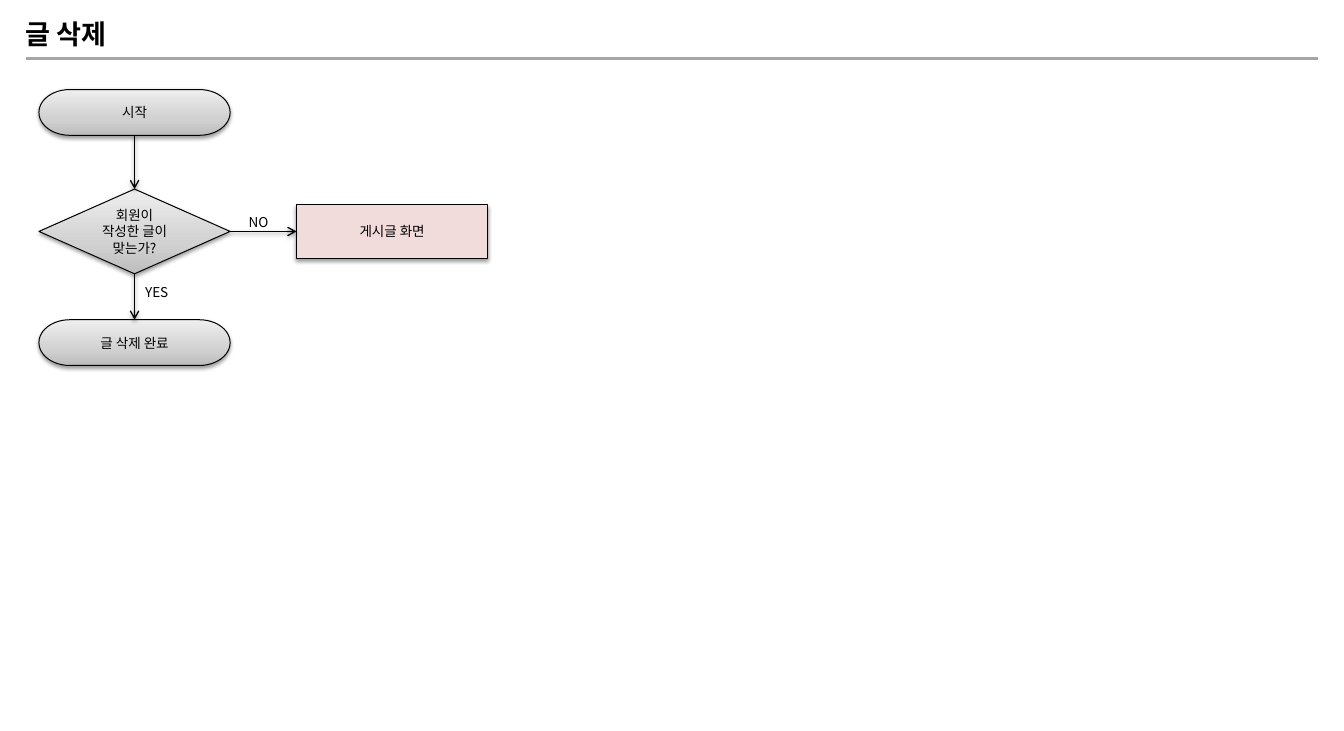
from copy import deepcopy

from lxml import etree
from pptx import Presentation
from pptx.dml.color import RGBColor
from pptx.enum.shapes import MSO_CONNECTOR, MSO_SHAPE
from pptx.enum.text import MSO_ANCHOR, MSO_AUTO_SIZE, PP_ALIGN
from pptx.oxml.ns import qn
from pptx.util import Pt

TERMINATOR = MSO_SHAPE.FLOWCHART_TERMINATOR
DECISION = MSO_SHAPE.FLOWCHART_DECISION
RECTANGLE = MSO_SHAPE.RECTANGLE
STRAIGHT = MSO_CONNECTOR.STRAIGHT
TOP, MIDDLE = MSO_ANCHOR.TOP, MSO_ANCHOR.MIDDLE
LEFT, CENTER = PP_ALIGN.LEFT, PP_ALIGN.CENTER
SITE_TOP, SITE_LEFT, SITE_BOTTOM, SITE_RIGHT = range(4)

FONT = "Noto Sans CJK KR"
BLACK = RGBColor(0x00, 0x00, 0x00)
RULE_GRAY = RGBColor(0xA6, 0xA6, 0xA6)
SCREEN_PINK = RGBColor(0xF2, 0xDC, 0xDB)
STEP_GRADIENT = [
    (0, RGBColor(0xBD, 0xBD, 0xBD)),
    (0.35, RGBColor(0xD1, 0xD1, 0xD1)),
    (1, RGBColor(0xEE, 0xEE, 0xEE)),
]

SLIDE_W, SLIDE_H = 992.2, 540
NODE_W, STEP_H, DECISION_H, SCREEN_H = 141.1, 33.8, 62.6, 39.6
LABEL_W, LABEL_H = 42.5, 14.4


def write_text(s, text, size=10, bold=False, align=LEFT, anchor=MIDDLE):
    tf = s.text_frame
    tf.word_wrap = True
    tf.vertical_anchor = anchor
    p = tf.paragraphs[0]
    p.alignment = align
    r = p.add_run()
    r.text = text
    for name, value in {"name": FONT, "size": Pt(size), "bold": bold}.items():
        setattr(r.font, name, value)
    r.font.color.rgb = BLACK
    etree.SubElement(r.font._element, qn("a:ea"), typeface=FONT)


def add_effects(s, shadow=True):
    """Give a shape or connector the soft drop shadow, or none."""
    effects = etree.SubElement(s._element.spPr, qn("a:effectLst"))
    if shadow:
        outer = etree.SubElement(
            effects, qn("a:outerShdw"), blurRad=str(Pt(3.1)),
            dist=str(Pt(1.6)), dir="5400000", rotWithShape="0")
        color = etree.SubElement(outer, qn("a:srgbClr"), val=str(BLACK))
        etree.SubElement(color, qn("a:alpha"), val="38000")


def fill_gradient(fill, s):
    fill.gradient()
    fill.gradient_angle = 90
    stops = s._element.spPr.find(".//" + qn("a:gsLst"))
    stops.append(deepcopy(stops[-1]))
    for stop, (position, color) in zip(fill.gradient_stops, STEP_GRADIENT):
        stop.position = position
        stop.color.rgb = color


def add_node(slide, kind, text, x, y, h, color=None):
    """Add a flowchart node; without a color it gets the step gradient."""
    s = slide.shapes.add_shape(kind, Pt(x), Pt(y), Pt(NODE_W), Pt(h))
    if color is None:
        fill_gradient(s.fill, s)
    else:
        s.fill.solid()
        s.fill.fore_color.rgb = color
    s.line.color.rgb = BLACK
    s.line.width = Pt(0.75)
    add_effects(s)
    write_text(s, text, align=CENTER)
    return s


def add_arrow(slide, source, source_site, target, target_site):
    arrow = slide.shapes.add_connector(STRAIGHT, 0, 0, 0, 0)
    arrow.begin_connect(source, source_site)
    arrow.end_connect(target, target_site)
    arrow.line.color.rgb = BLACK
    arrow.line.width = Pt(1)
    etree.SubElement(arrow.line._get_or_add_ln(), qn("a:tailEnd"), type="arrow")
    add_effects(arrow)


def add_label(slide, text, x, y):
    label = slide.shapes.add_textbox(Pt(x), Pt(y), Pt(LABEL_W), Pt(LABEL_H))
    write_text(label, text)


def add_header(slide, text, x, y, w):
    rule = slide.shapes.add_connector(
        STRAIGHT, Pt(x + 7.9), Pt(y + 33.8), Pt(x + w), Pt(y + 33.8))
    rule.line.color.rgb = RULE_GRAY
    rule.line.width = Pt(2)
    add_effects(rule, shadow=False)

    title = slide.shapes.title
    box = {"left": x, "top": y, "width": 82.1, "height": 31.7}
    for name, value in box.items():
        setattr(title, name, Pt(value))
    write_text(title, text, size=20, bold=True, anchor=TOP)
    title.text_frame.word_wrap = False
    title.text_frame.auto_size = MSO_AUTO_SIZE.SHAPE_TO_FIT_TEXT


def add_flowchart(slide, x, y):
    decision_y = y + 73.5
    decision_mid = decision_y + DECISION_H / 2
    screen_x = x + NODE_W + 49

    start = add_node(slide, TERMINATOR, "시작", x, y, STEP_H)
    done = add_node(slide, TERMINATOR, "글 삭제 완료", x, y + 170, STEP_H)
    decision = add_node(slide, DECISION, "회원이 작성한 글이 맞는가?",
                        x, decision_y, DECISION_H)
    screen = add_node(slide, RECTANGLE, "게시글 화면", screen_x,
                      decision_mid - SCREEN_H / 2, SCREEN_H, SCREEN_PINK)

    add_arrow(slide, start, SITE_BOTTOM, decision, SITE_TOP)
    add_arrow(slide, decision, SITE_BOTTOM, done, SITE_TOP)
    add_arrow(slide, decision, SITE_RIGHT, screen, SITE_LEFT)
    add_label(slide, "YES", x + NODE_W / 2 + 0.7, decision_y + DECISION_H + 6.5)
    add_label(slide, "NO", screen_x - LABEL_W, decision_mid - LABEL_H + 0.5)


def main():
    prs = Presentation()
    prs.slide_width, prs.slide_height = Pt(SLIDE_W), Pt(SLIDE_H)
    slide = prs.slides.add_slide(prs.slide_layouts.get_by_name("Title Only"))
    add_header(slide, "글 삭제", 11.5, 9.4, 961.2)
    add_flowchart(slide, 28.8, 66.2)
    prs.save("out.pptx")


if __name__ == "__main__":
    main()
